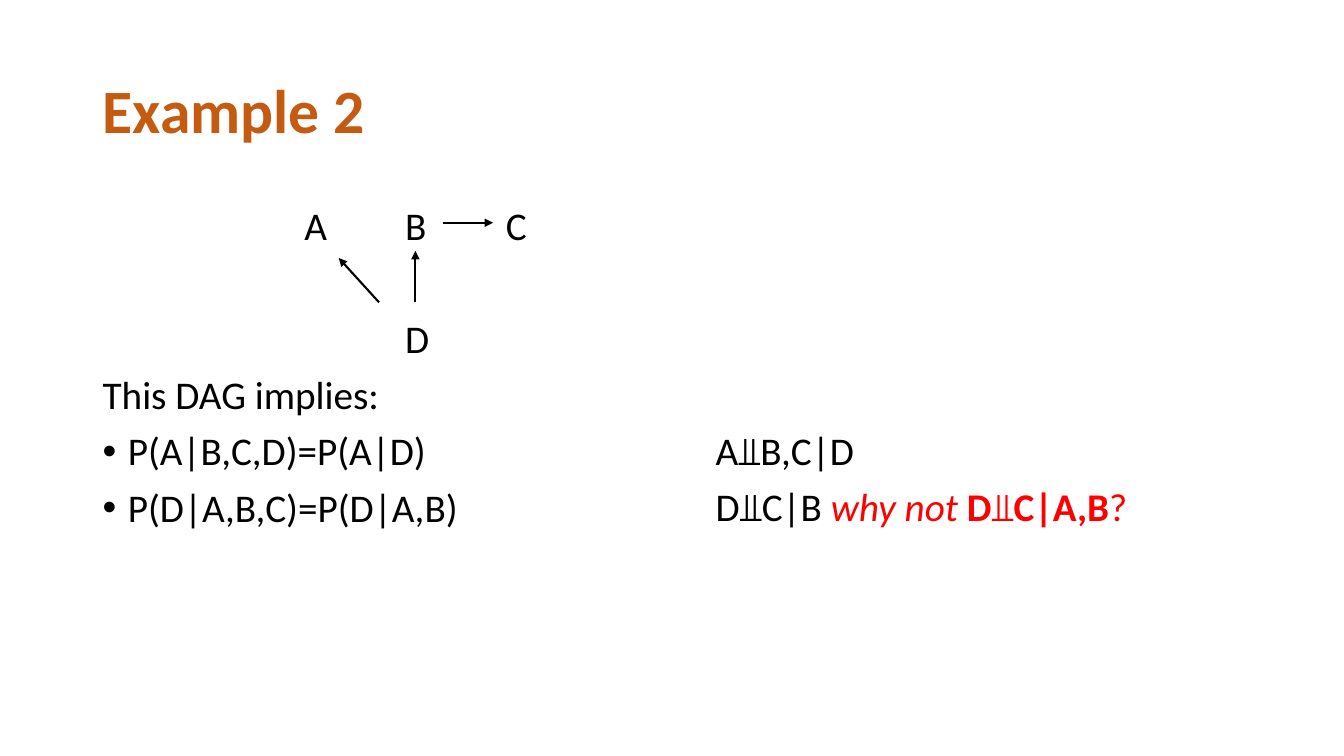
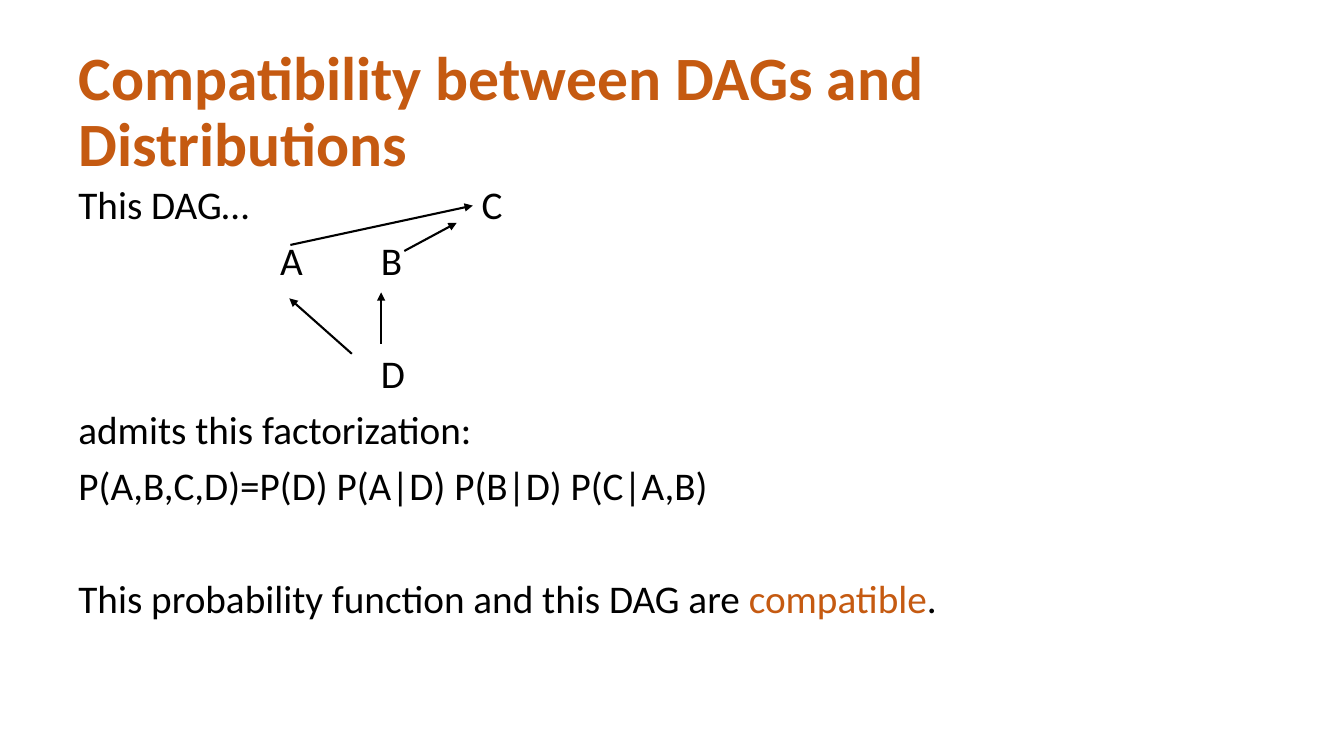
from dataclasses import dataclass

from lxml import etree
from pptx import Presentation
from pptx.dml.color import RGBColor
from pptx.enum.shapes import MSO_CONNECTOR
from pptx.enum.text import MSO_ANCHOR
from pptx.oxml.ns import qn
from pptx.util import Inches, Pt

STRAIGHT = MSO_CONNECTOR.STRAIGHT
TOP, MIDDLE = MSO_ANCHOR.TOP, MSO_ANCHOR.MIDDLE


@dataclass(frozen=True)
class Theme:
    text: RGBColor = RGBColor(0x00, 0x00, 0x00)
    accent: RGBColor = RGBColor(0xC5, 0x5A, 0x11)
    question: RGBColor = RGBColor(0xFF, 0x00, 0x00)
    font: str = "Calibri"
    symbol_font: str = "Cambria"
    title_size: int = 44
    body_size: int = 28
    arrow_width: float = 1.5
    line_spacing: float = 0.9
    paragraph_gap: float = 10
    row_pitch: float = 40.2  # one body line plus its gap, in points


theme = Theme()
INDEPENDENT = ("⫫", {"font": theme.symbol_font})
ASIDE = {"color": theme.question, "italic": True}
CLAIM = {"color": theme.question, "bold": True}


def add_text(slide, box, rows, size=theme.body_size, anchor=TOP):
    """Add a text box; each row holds runs and optional tabs, bullet and skipped lines."""
    shape = slide.shapes.add_textbox(*(Inches(length) for length in box))
    frame = shape.text_frame
    frame.word_wrap = True
    frame.vertical_anchor = anchor
    for index, row in enumerate(rows):
        paragraph = frame.paragraphs[0] if index == 0 else frame.add_paragraph()
        paragraph.line_spacing = theme.line_spacing
        paragraph.space_before = Pt(theme.paragraph_gap + row.get("skip", 0) * theme.row_pitch)
        properties = paragraph._p.get_or_add_pPr()
        if row.get("bullet"):
            properties.set("marL", str(Inches(0.25)))
            properties.set("indent", str(-Inches(0.25)))
            etree.SubElement(properties, qn("a:buFont"), typeface="Arial")
            etree.SubElement(properties, qn("a:buChar"), char="•")
        if "tabs" in row:
            tab_list = etree.SubElement(properties, qn("a:tabLst"))
            for stop in row["tabs"]:
                etree.SubElement(tab_list, qn("a:tab"), pos=str(Inches(stop)), algn="l")
        for text, style in row["runs"]:
            run = paragraph.add_run()
            run.text = text
            run.font.name = style.get("font", theme.font)
            run.font.size = Pt(size)
            run.font.bold = style.get("bold", False)
            run.font.italic = style.get("italic", False)
            run.font.color.rgb = style.get("color", theme.text)


def add_arrow(slide, start, end):
    arrow = slide.shapes.add_connector(STRAIGHT, *(Inches(value) for value in start + end))
    arrow.line.color.rgb = theme.text
    arrow.line.width = Pt(theme.arrow_width)
    line = arrow.line._get_or_add_ln()
    etree.SubElement(line, qn("a:tailEnd"), type="triangle")
    etree.SubElement(arrow._element.spPr, qn("a:effectLst"))


body_top = 2
bullet_top = body_top + 4 * theme.row_pitch / 72

slides = [
    {
        "title": "Example 2",
        "title_box": (0.92, 0.4, 11.5, 1.45),
        "texts": [
            ((0.92, body_top, 11.5, 4.76), [
                {"runs": [("\tA\tB\tC", {})], "tabs": (2, 3, 4)},
                {"runs": [("\tD", {})], "tabs": (3,), "skip": 1},
                {"runs": [("This DAG implies:", {})]},
                {"runs": [("P(A|B,C,D)=P(A|D)", {})], "bullet": True},
                {"runs": [("P(D|A,B,C)=P(D|A,B)", {})], "bullet": True},
            ]),
            # Independence statements beside the bullets
            ((7, bullet_top, 5.42, 1.2), [
                {"runs": [("A", {}), INDEPENDENT, ("B,C|D", {})]},
                {"runs": [
                    ("D", {}), INDEPENDENT, ("C|B ", {}),
                    ("why not ", ASIDE),
                    ("D", CLAIM), ("⫫", {**CLAIM, "font": theme.symbol_font}), ("C|A,B", CLAIM),
                    ("?", {"color": theme.question}),
                ]},
            ]),
        ],
        "arrows": [
            ((3.76, 3), (3.36, 2.56)),
            ((4.12, 3), (4.12, 2.49)),
            ((4.39, 2.21), (4.89, 2.21)),
        ],
    },
    {
        "title": "Compatibility between DAGs and Distributions",
        "title_box": (0.68, 0.4, 11.74, 1.45),
        "texts": [
            ((0.68, 1.79, 11.4, 4.76), [
                {"runs": [("This DAG…\tC", {})], "tabs": (4,)},
                {"runs": [("\tA\tB", {})], "tabs": (2, 3)},
                {"runs": [("\tD", {})], "tabs": (3,), "skip": 1},
                {"runs": [("admits this factorization:", {})]},
                {"runs": [("P(A,B,C,D)=P(D) P(A|D) P(B|D) P(C|A,B)", {})]},
                {"runs": [
                    ("This probability function and this DAG are ", {}),
                    ("compatible", {"color": theme.accent}),
                    (".", {}),
                ], "skip": 1},
            ]),
        ],
        "arrows": [
            ((3.49, 3.51), (2.87, 2.96)),
            ((3.78, 3.41), (3.78, 2.9)),
            ((4.01, 2.49), (4.53, 2.21)),
            ((2.88, 2.43), (4.69, 2.04)),
        ],
    },
]

presentation = Presentation()
presentation.slide_width = Inches(13.33)
presentation.slide_height = Inches(7.5)
blank_layout = presentation.slide_layouts[6]

for content in slides:
    slide = presentation.slides.add_slide(blank_layout)
    # Title
    title_run = (content["title"], {"bold": True, "color": theme.accent})
    add_text(slide, content["title_box"], [{"runs": [title_run]}], theme.title_size, MIDDLE)
    # Body text and node labels
    for box, rows in content["texts"]:
        add_text(slide, box, rows)
    # Graph edges
    for start, end in content["arrows"]:
        add_arrow(slide, start, end)

presentation.save("out.pptx")
